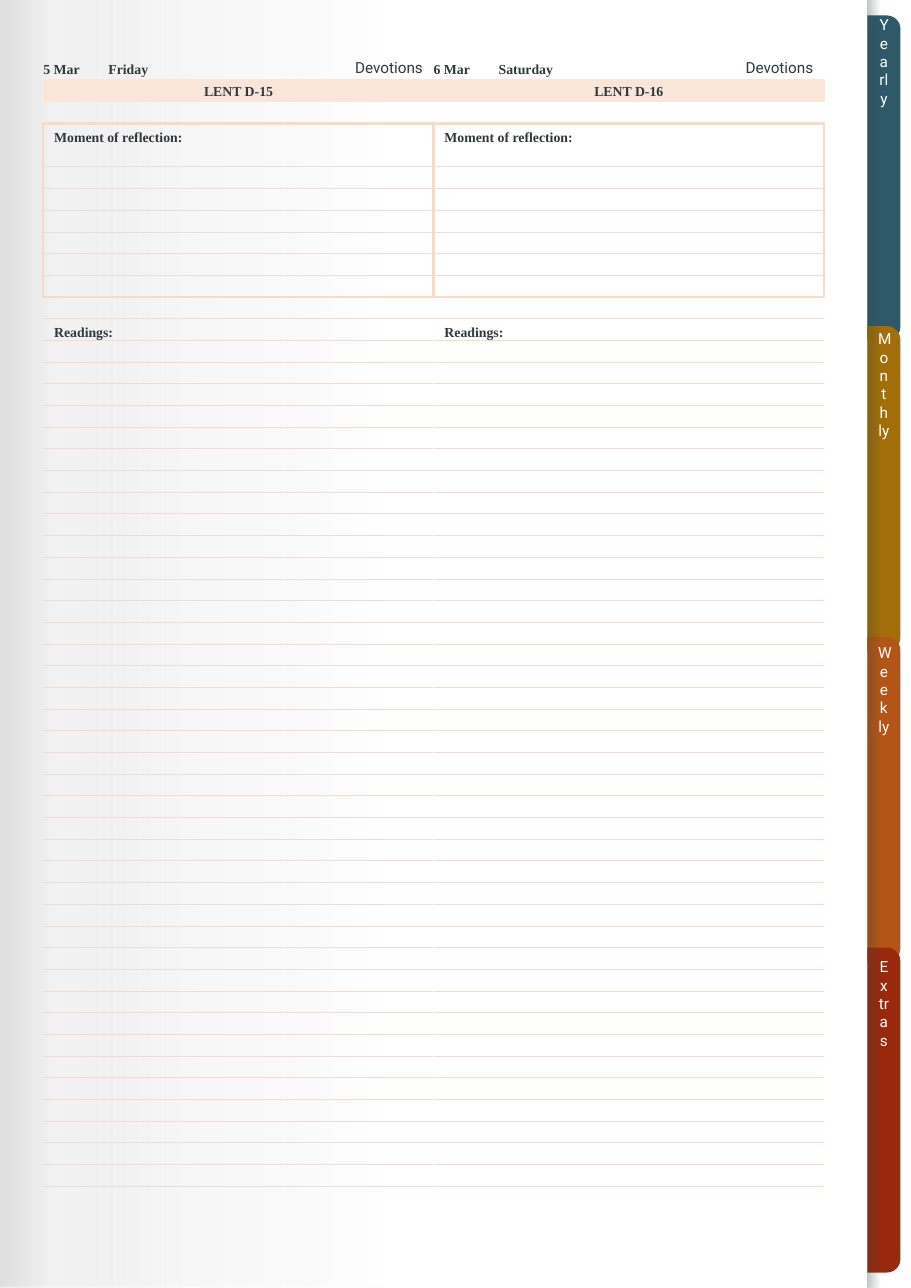
from lxml import etree
from pptx import Presentation
from pptx.dml.color import RGBColor
from pptx.enum.shapes import MSO_CONNECTOR, MSO_SHAPE
from pptx.enum.text import MSO_ANCHOR, PP_ALIGN
from pptx.oxml.ns import qn
from pptx.util import Inches, Pt

RECTANGLE, TAB_SHAPE = MSO_SHAPE.RECTANGLE, MSO_SHAPE.ROUND_2_SAME_RECTANGLE
STRAIGHT = MSO_CONNECTOR.STRAIGHT
TOP, MIDDLE, BOTTOM = MSO_ANCHOR.TOP, MSO_ANCHOR.MIDDLE, MSO_ANCHOR.BOTTOM
LEFT, CENTER, RIGHT = PP_ALIGN.LEFT, PP_ALIGN.CENTER, PP_ALIGN.RIGHT

COLORS = {"ink": "2F393D", "white": "FFFFFF", "rule": "F8DAC6", "band": "FAE6D9",
          "yearly": "2F5869", "monthly": "A16E09", "weekly": "B35517", "extras": "98290D"}
SERIF, SANS = "Times New Roman", "Roboto"

DAYS = [("5 Mar", "Friday", "LENT D-15"), ("6 Mar", "Saturday", "LENT D-16")]
TABS = ["Yearly", "Monthly", "Weekly", "Extras"]
SECTION, REFLECTION, READINGS = "Devotions", "Moment of reflection:", "Readings:"
PAGE_SHADE = [(0, "D9D9D9", 88), (6, "D9D9D9", 33), (19, "F2F2F2", 65), (43, "FFFFFF", 100)]
EDGE_SHADE = [(0, "384448", 30), (31, "384448", 0)]

WIDTH, HEIGHT = 8.27, 11.69
GRID = 5 / 25.4
FIRST_ROW = 0.53
DAY_COLUMNS = 18
BAND_ROW, FRAME_ROW, FRAME_ROWS = 1, 3, 8
READINGS_ROW, LAST_ROW = 12, 52
EDGE = 40 * GRID
TAB_WIDTH, TAB_LENGTH, TAB_PITCH, TAB_TOP = 0.3, 2.95, 2.82, 0.14
LABEL_LENGTH = 2.85

deck = Presentation()
deck.slide_width, deck.slide_height = Inches(WIDTH), Inches(HEIGHT)
page = deck.slides.add_slide(deck.slide_layouts[6])
shapes = page.shapes


def color(name):
    return RGBColor.from_string(COLORS[name])


def column(number):
    return number * GRID


def row(number):
    return FIRST_ROW + number * GRID


def add_block(left, top, width, height, fill=None, line=None, weight=1, kind=RECTANGLE):
    block = shapes.add_shape(kind, Inches(left), Inches(top), Inches(width), Inches(height))
    block.shadow.inherit = False
    if fill:
        block.fill.solid()
        block.fill.fore_color.rgb = color(fill)
    else:
        block.fill.background()
    if line:
        block.line.color.rgb = color(line)
        block.line.width = Pt(weight)
    else:
        block.line.fill.background()
    return block


def add_shade(left, width, stops):
    properties = add_block(left, 0, width, HEIGHT)._element.spPr
    gradient = etree.Element(qn("a:gradFill"), rotWithShape="1")
    stop_list = etree.SubElement(gradient, qn("a:gsLst"))
    for place, tone, opacity in stops:
        stop = etree.SubElement(stop_list, qn("a:gs"), pos=str(place * 1000))
        shade = etree.SubElement(stop, qn("a:srgbClr"), val=tone)
        etree.SubElement(shade, qn("a:alpha"), val=str(opacity * 1000))
    etree.SubElement(gradient, qn("a:lin"), ang="0", scaled="0")
    properties.replace(properties.find(qn("a:noFill")), gradient)


def add_line(x1, y1, x2, y2, tone="rule", weight=0.5):
    line = shapes.add_connector(STRAIGHT, Inches(x1), Inches(y1), Inches(x2), Inches(y2))
    line.line.color.rgb = color(tone)
    line.line.width = Pt(weight)
    etree.SubElement(line._element.spPr, qn("a:effectLst"))


def write(box, text, font=SERIF, size=9, tone="ink", align=LEFT, anchor=MIDDLE, inset=0.1):
    frame = box.text_frame
    frame.word_wrap = True
    frame.vertical_anchor = anchor
    frame.margin_left, frame.margin_right = Inches(inset), Inches(0.1)
    frame.margin_top = frame.margin_bottom = 0
    para = frame.paragraphs[0]
    para.alignment = align
    span = para.add_run()
    span.text = text
    span.font.name, span.font.size = font, Pt(size)
    span.font.bold = font == SERIF
    span.font.color.rgb = color(tone)
    return para


def add_text(left, top, width, height, text, **style):
    box = shapes.add_textbox(Inches(left), Inches(top), Inches(width), Inches(height))
    return box, write(box, text, **style)


def add_heading(left, top, columns, text):
    box, para = add_text(left, top, column(columns), GRID, text, anchor=BOTTOM)
    para.line_spacing = 0.9
    para.space_before = Pt(5)


def add_day(start, date, weekday, lent):
    left, right, width = column(start), column(start + DAY_COLUMNS), column(DAY_COLUMNS)
    frame_lines = range(FRAME_ROW + 2, FRAME_ROW + FRAME_ROWS)
    for number in [*range(READINGS_ROW, LAST_ROW + 1), *frame_lines]:
        add_line(left, row(number), right, row(number))
    add_block(left, row(FRAME_ROW), width, FRAME_ROWS * GRID, line="rule", weight=1.5)
    add_heading(left, row(FRAME_ROW), DAY_COLUMNS, REFLECTION)
    add_heading(left, row(READINGS_ROW), DAY_COLUMNS / 2, READINGS)
    band = add_block(left, row(BAND_ROW), width, GRID, fill="band", line="band")
    write(band, lent, align=CENTER)
    add_text(left, row(0), column(3), GRID, date, inset=0)
    add_text(column(start + 3), row(0), column(4), GRID, weekday, inset=0)
    add_text(column(start + 7), row(0), column(11), 1.5 * GRID, SECTION,
             font=SANS, size=10, align=RIGHT, anchor=TOP)


add_shade(0, WIDTH, PAGE_SHADE)
for index, name in enumerate(TABS):
    middle = TAB_TOP + TAB_LENGTH / 2 + index * TAB_PITCH
    tab = add_block(EDGE + (TAB_WIDTH - TAB_LENGTH) / 2, middle - TAB_WIDTH / 2,
                    TAB_LENGTH, TAB_WIDTH, fill=name.lower(), kind=TAB_SHAPE)
    tab.adjustments[0] = 0.41
    tab.rotation = 90
add_shade(EDGE, WIDTH - EDGE, EDGE_SHADE)

for index, day in enumerate(DAYS):
    start = 2 + index * DAY_COLUMNS
    if index:
        add_line(column(start), row(READINGS_ROW), column(start), HEIGHT, "white", 1.5)
    add_day(start, *day)

for index, name in enumerate(TABS):
    label, _ = add_text(EDGE, TAB_TOP + index * LABEL_LENGTH, TAB_WIDTH, LABEL_LENGTH, name,
                        font=SANS, size=10, tone="white", align=CENTER)
    label._element.txBody.bodyPr.set("vert", "mongolianVert")

deck.save("out.pptx")
